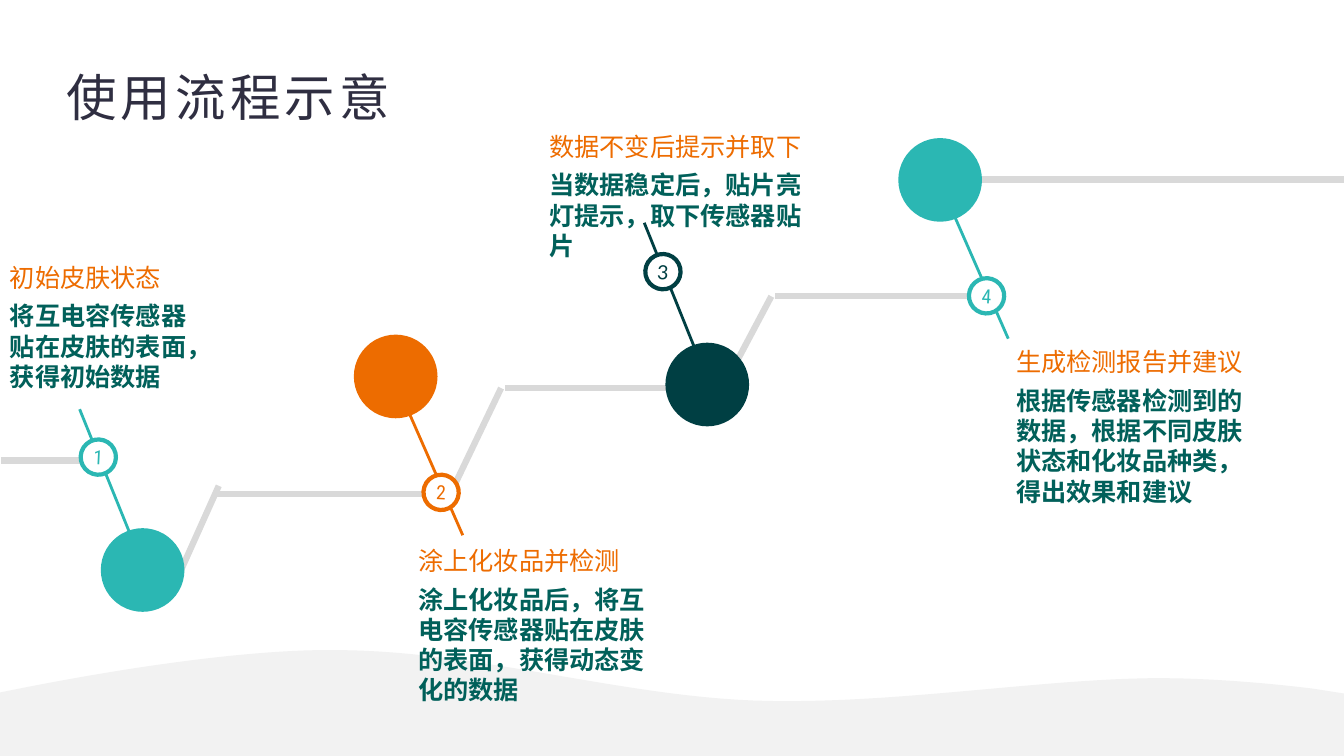
import lxml.etree
import pptx
import pptx.dml.color
import pptx.enum.shapes
import pptx.enum.text
import pptx.oxml.ns
import pptx.util

Inches = pptx.util.Inches
TEAL, ORANGE, DARK, GREY, WHITE = "2BB7B3", "ED6C00", "003F43", "D9D9D9", "FFFFFF"
CJK = "Noto Sans CJK SC"
OVAL = pptx.enum.shapes.MSO_SHAPE.OVAL
MARKER, DISC = 0.35, 0.83


def paint(color_format, hex_color):
    """Give a fill's or font's colour format an RGB value."""
    color_format.rgb = pptx.dml.color.RGBColor.from_string(hex_color)


def write(paragraph, text, hex_color, **formats):
    """Add a run whose font applies to Latin and East Asian text alike."""
    run = paragraph.add_run()
    run.text = text
    paint(run.font.color, hex_color)
    for attribute, value in formats.items():
        setattr(run.font, attribute, value)
    properties = run.font._element
    east_asian = lxml.etree.SubElement(properties, pptx.oxml.ns.qn("a:ea"))
    east_asian.set("typeface", formats["name"])
    return properties


presentation = pptx.Presentation()
presentation.slide_width = Inches(13.33)
presentation.slide_height = Inches(7.5)
slide = presentation.slides.add_slide(presentation.slide_layouts[6])
shapes = slide.shapes

# Wave along the bottom: cubic curves sampled into short segments
wave_start = (0.1, 6.85)
wave_curves = [
    ((1.04, 6.66), (2.23, 6.47), (3.13, 6.45)),
    ((3.22, 6.45), (3.31, 6.45), (3.41, 6.45)),
    ((4.77, 6.47), (6.15, 6.9), (7.48, 6.95)),
    ((8.91, 7), (10.49, 6.7), (11.68, 6.73)),
    ((12.13, 6.74), (12.59, 6.78), (13.01, 6.83)),
]
wave_points = [(0, 6.87), wave_start]
for control_1, control_2, end in wave_curves:
    start = wave_points[-1]
    for step in range(1, 25):
        t = step / 24
        wave_points.append(tuple(
            (1 - t) ** 3 * a + 3 * (1 - t) ** 2 * t * b + 3 * (1 - t) * t ** 2 * c + t ** 3 * d
            for a, b, c, d in zip(start, control_1, control_2, end)))
wave_points += [(13.33, 6.88), (13.33, 7.5), (0, 7.5)]
wave_outline = [(Inches(x), Inches(y)) for x, y in wave_points]
builder = shapes.build_freeform(*wave_outline[0])
builder.add_line_segments(wave_outline[1:], close=True)
wave = builder.convert_to_shape()
wave.shadow.inherit = False
wave.fill.solid()
paint(wave.fill.fore_color, "F2F2F2")
wave.line.fill.background()

# Grey staircase, then for each step a stem, a numbered marker and a disc
staircase = [
    (7.3, 3.6, 7.65, 2.94), (7.69, 2.94, 9.87, 2.94),
    (9.74, 1.78, 13.33, 1.78), (0.01, 4.57, 1, 4.57),
    (4.51, 4.81, 4.97, 3.85), (5.01, 3.85, 7.19, 3.85),
    (1.78, 5.69, 2.17, 4.82), (2.13, 4.9, 4.3, 4.9),
]
# number, colour, number font, stem ends, marker corner, marker tilt, disc corner
steps = [
    ("1", TEAL, "Roboto Condensed", (0.79, 4.06, 1.49, 5.79), (0.8, 4.36), 2.9, (1, 5.24)),
    ("2", ORANGE, "Roboto Condensed", (4.59, 5.31, 3.84, 3.6), (4.2, 4.71), 3.1, (3.51, 3.32)),
    ("3", DARK, "Lato", (6.39, 2.21, 7.09, 3.95), (6.4, 2.52), 2.9, (6.6, 3.4)),
    ("4", TEAL, "Roboto Condensed", (10, 3.36, 9.25, 1.65), (9.61, 2.76), 3.1, (8.91, 1.37)),
]
drawing = [(ends, GREY, 4.5, None) for ends in staircase]
drawing += [(step[3], step[1], 2, step) for step in steps]
for ends, color, weight, step in drawing:
    line = shapes.add_connector(
        pptx.enum.shapes.MSO_CONNECTOR.STRAIGHT, *[Inches(value) for value in ends])
    paint(line.line.color, color)
    line.line.width = pptx.util.Pt(weight)
    lxml.etree.SubElement(line._element.spPr, pptx.oxml.ns.qn("a:effectLst"))
    if step is None:
        continue

    number, _, number_font, _, marker_corner, tilt, disc_corner = step
    for (left, top), size, fill in [(marker_corner, MARKER, WHITE), (disc_corner, DISC, color)]:
        circle = shapes.add_shape(OVAL, Inches(left), Inches(top), Inches(size), Inches(size))
        circle.shadow.inherit = False
        circle.fill.solid()
        paint(circle.fill.fore_color, fill)
        if size == DISC:
            circle.line.fill.background()
            continue
        circle.rotation = tilt
        paint(circle.line.color, color)
        circle.line.width = pptx.util.Pt(3)
        circle.text_frame.word_wrap = False
        circle.text_frame.vertical_anchor = pptx.enum.text.MSO_ANCHOR.MIDDLE
        label = circle.text_frame.paragraphs[0]
        label.alignment = pptx.enum.text.PP_ALIGN.CENTER
        write(label, number, color, name=number_font, size=pptx.util.Pt(14))

# Title and step captions
title = shapes.add_textbox(Inches(0.56), Inches(0.61), Inches(3.48), Inches(0.71))
title.text_frame.word_wrap = False
title.text_frame.auto_size = pptx.enum.text.MSO_AUTO_SIZE.SHAPE_TO_FIT_TEXT
title_properties = write(title.text_frame.paragraphs[0], "使用流程示意", "2F2E41",
                         name=CJK, size=pptx.util.Pt(36))
title_properties.set("spc", "300")

captions = [
    ((0, 2.55, 2.06, 1.4), "初始皮肤状态",
     "将互电容传感器贴在皮肤的表面，获得初始数据"),
    ((4.05, 5.36, 2.61, 1.7), "涂上化妆品并检测",
     "涂上化妆品后，将互电容传感器贴在皮肤的表面，获得动态变化的数据"),
    ((5.35, 1.25, 2.75, 1.4), "数据不变后提示并取下",
     "当数据稳定后，贴片亮灯提示，取下传感器贴片"),
    ((9.98, 3.39, 2.61, 1.7), "生成检测报告并建议",
     "根据传感器检测到的数据，根据不同皮肤状态和化妆品种类，得出效果和建议"),
]
for box, heading, detail in captions:
    caption = shapes.add_textbox(*[Inches(value) for value in box]).text_frame
    caption.word_wrap = True
    caption.auto_size = pptx.enum.text.MSO_AUTO_SIZE.SHAPE_TO_FIT_TEXT
    write(caption.paragraphs[0], heading, ORANGE, name=CJK, size=pptx.util.Pt(18))
    body = caption.add_paragraph()
    body.space_before = pptx.util.Pt(6)
    write(body, detail, "01605A", name=CJK, size=pptx.util.Pt(18), bold=True)

presentation.save("out.pptx")
